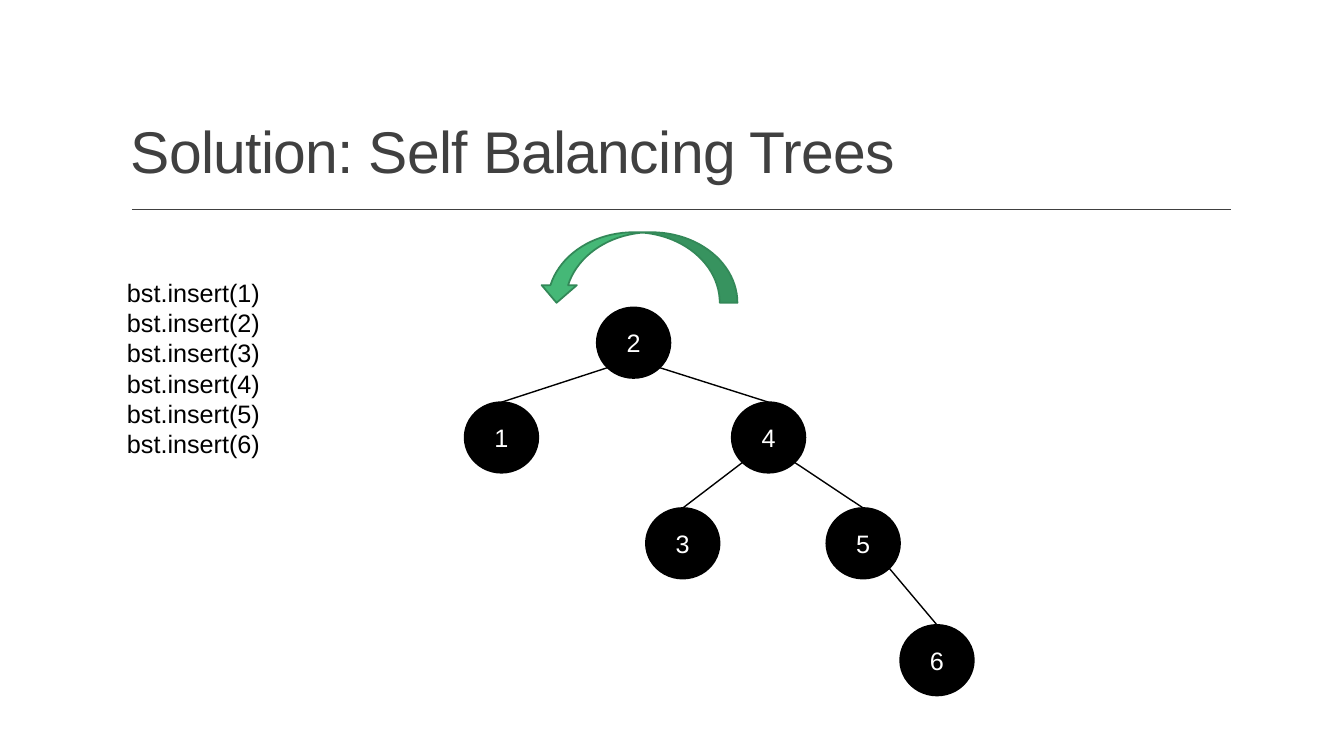
import math
from dataclasses import dataclass

from lxml import etree
from pptx import Presentation
from pptx.dml.color import RGBColor
from pptx.enum import shapes, text
from pptx.oxml import ns
from pptx.util import Pt


@dataclass(frozen=True)
class Theme:
    font: str = "Arial"
    black: str = "000000"
    white: str = "FFFFFF"
    heading: str = "404040"
    arrow_fill: str = "45B877"
    arrow_line: str = "338858"
    title_size: float = 42
    body_size: float = 18
    outline: float = 1.25
    thin_line: float = 1


THEME = Theme()
NODE_WIDTH, NODE_HEIGHT = 52.6, 50.4
# Key: (centre x, top), in points
NODES = {
    1: (358.2, 287.3),
    2: (452.6, 219.6),
    3: (487.7, 362.9),
    4: (549, 287.3),
    5: (616.6, 362.9),
    6: (669.3, 446.4),
}
EDGES = [(2, 1), (2, 4), (4, 3), (4, 5), (5, 6)]


def rgb(value):
    return RGBColor.from_string(value)


def add_span(para, wording, size, color):
    span = para.add_run()
    span.text = wording
    span.font.name = THEME.font
    span.font.size = Pt(size)
    span.font.color.rgb = rgb(color)
    return span


def add_title(page, wording):
    box = page.shapes.add_textbox(Pt(86.4), Pt(22.6), Pt(792), Pt(114.2))
    frame = box.text_frame
    frame.word_wrap = True
    frame.vertical_anchor = text.MSO_ANCHOR.BOTTOM
    para = frame.paragraphs[0]
    para.line_spacing = 0.9
    span = add_span(para, wording, THEME.title_size, THEME.heading)
    span.font._element.set("spc", "-50")


def add_code(page, lines):
    box = page.shapes.add_textbox(Pt(83.6), Pt(194.4), Pt(110), Pt(138.2))
    frame = box.text_frame
    frame.word_wrap = False
    frame.auto_size = text.MSO_AUTO_SIZE.SHAPE_TO_FIT_TEXT
    for index, line in enumerate(lines):
        para = frame.add_paragraph() if index else frame.paragraphs[0]
        add_span(para, line, THEME.body_size, THEME.black)


def add_line(page, start, end, color):
    line = page.shapes.add_connector(
        shapes.MSO_CONNECTOR.STRAIGHT, *(Pt(value) for value in (*start, *end)))
    line.line.color.rgb = rgb(color)
    line.line.width = Pt(THEME.thin_line)
    etree.SubElement(line._element.spPr, ns.qn("a:effectLst"))
    return line


def add_solid(page, kind, left, top, width, height, fill, outline):
    shape = page.shapes.add_shape(kind, Pt(left), Pt(top), Pt(width), Pt(height))
    shape.shadow.inherit = False
    shape.fill.solid()
    shape.fill.fore_color.rgb = rgb(fill)
    shape.line.color.rgb = rgb(outline)
    shape.line.width = Pt(THEME.outline)
    return shape


def add_node(page, key):
    center, top = NODES[key]
    node = add_solid(page, shapes.MSO_SHAPE.OVAL, center - NODE_WIDTH / 2, top,
                     NODE_WIDTH, NODE_HEIGHT, THEME.black, THEME.black)
    node.text_frame.vertical_anchor = text.MSO_ANCHOR.MIDDLE
    para = node.text_frame.paragraphs[0]
    para.alignment = text.PP_ALIGN.CENTER
    add_span(para, str(key), THEME.body_size, THEME.white)
    return node


def add_edge(page, parent, child, child_node):
    """Run from the parent's lower diagonal point to the top of the child."""
    (x, top), end = NODES[parent], NODES[child]
    reach = math.sqrt(0.5)
    side = math.copysign(reach, end[0] - x)
    start = (x + side * NODE_WIDTH / 2, top + (1 + reach) * NODE_HEIGHT / 2)
    add_line(page, start, end, THEME.black).end_connect(child_node, 0)


def add_rotation_arrow(page):
    arrow = add_solid(page, shapes.MSO_SHAPE.CURVED_RIGHT_ARROW,
                      430.6, 120.2, 50.4, 141.8,
                      THEME.arrow_fill, THEME.arrow_line)
    arrow.rotation = 90


def main():
    deck = Presentation()
    deck.slide_width, deck.slide_height = Pt(960), Pt(540)
    page = deck.slides.add_slide(deck.slide_layouts[6])
    add_line(page, (94.3, 149.8), (879.1, 149.8), THEME.heading)
    add_title(page, "Solution: Self Balancing Trees")
    add_code(page, [f"bst.insert({key})" for key in NODES])
    nodes = {key: add_node(page, key) for key in NODES}
    for parent, child in EDGES:
        add_edge(page, parent, child, nodes[child])
    add_rotation_arrow(page)
    deck.save("out.pptx")


if __name__ == "__main__":
    main()
